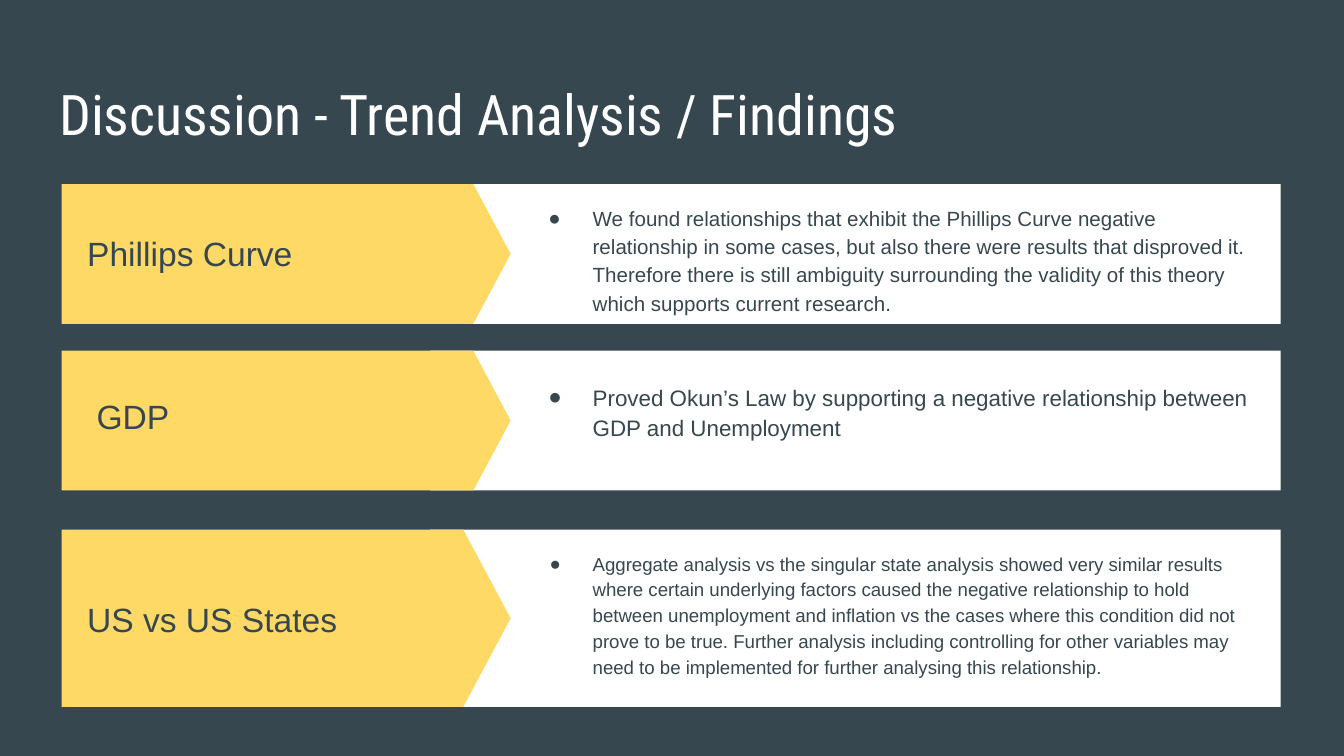
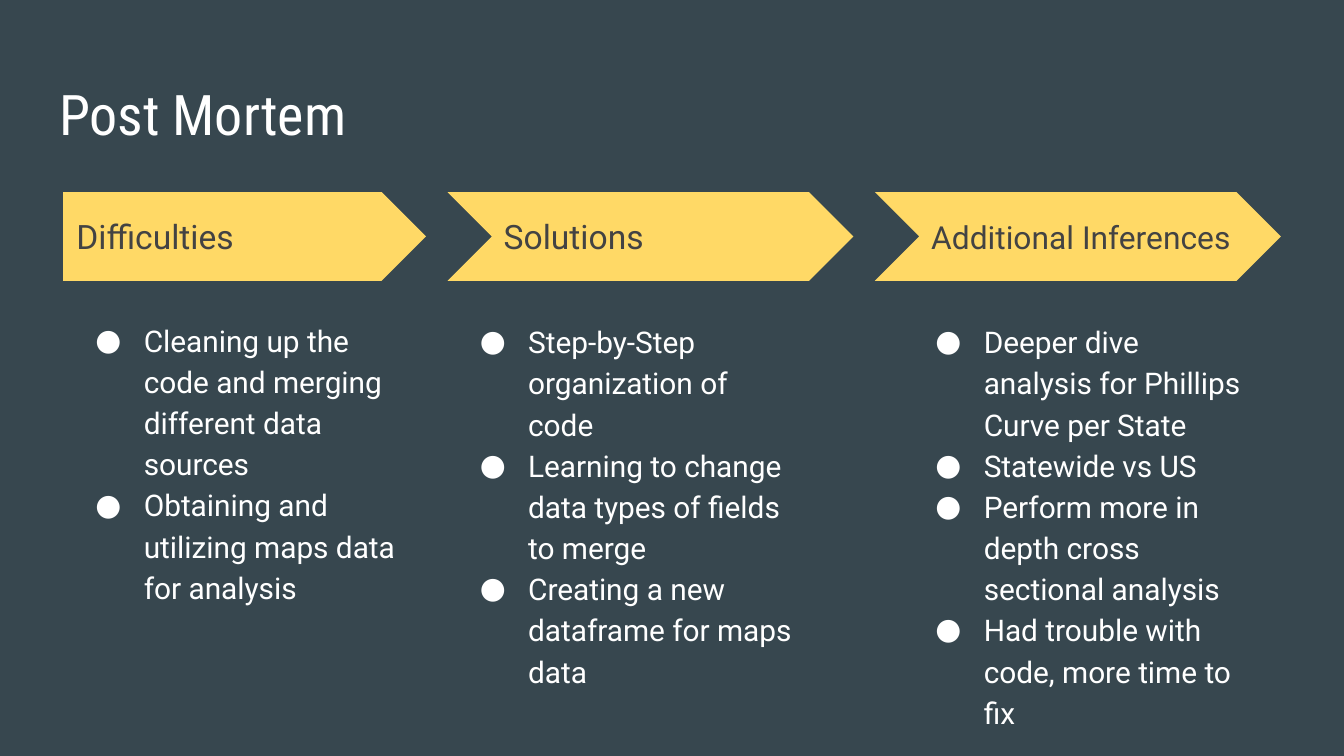
import pptx
import pptx.util
import pptx.dml.color
import pptx.enum.shapes
import pptx.enum.text
import pptx.oxml
import pptx.oxml.ns
from pptx.util import Inches

RGBColor = pptx.dml.color.RGBColor
SHAPE = pptx.enum.shapes.MSO_SHAPE
ANCHOR = pptx.enum.text.MSO_ANCHOR

SLATE = RGBColor(0x37, 0x47, 0x4F)
YELLOW = RGBColor(0xFF, 0xD9, 0x66)
WHITE = RGBColor(0xFF, 0xFF, 0xFF)
CHARCOAL = RGBColor(0x43, 0x43, 0x43)
TITLE_FONT = "Roboto Condensed"
COMPARISON_LAYOUT = 4


class Deck:
    def __init__(self):
        self.prs = pptx.Presentation()
        self.prs.slide_width, self.prs.slide_height = Inches(10), Inches(5.625)
        background = self.prs.slide_master.background.fill
        background.solid()
        background.fore_color.rgb = SLATE

    def new_slide(self, heading):
        layout = self.prs.slide_layouts[COMPARISON_LAYOUT]
        self.slide = self.prs.slides.add_slide(layout)
        title, *self.free_bodies = self.slide.placeholders
        self.place(title, (0.34, 0.49, 9.32, 0.63), ANCHOR.TOP)
        self.add_text(title.text_frame.paragraphs[0], heading, TITLE_FONT, 30, WHITE)

    def place(self, box, at, anchor):
        box.left, box.top, box.width, box.height = map(Inches, at)
        frame = box.text_frame
        frame.word_wrap = True
        frame.auto_size = pptx.enum.text.MSO_AUTO_SIZE.NONE
        frame.vertical_anchor = anchor
        frame.margin_left = frame.margin_right = Inches(0.1)
        frame.margin_top = frame.margin_bottom = Inches(0.1)

    def add_text(self, paragraph, text, font, size, color):
        paragraph.alignment = pptx.enum.text.PP_ALIGN.LEFT
        paragraph.space_before = pptx.util.Pt(0)
        run = paragraph.add_run()
        run.text = text
        run.font.name, run.font.size = font, pptx.util.Pt(size)
        run.font.bold = False
        run.font.color.rgb = color

    def block(self, kind, at, color, point=None, group=None):
        shapes = (group or self.slide).shapes
        shape = shapes.add_shape(kind, *map(Inches, at))
        shape.shadow.inherit = False
        shape.fill.solid()
        shape.fill.fore_color.rgb = color
        shape.line.fill.background()
        if point is not None:
            shape.adjustments[0] = point

    def label(self, text, at, font, size, color):
        box = self.slide.shapes.add_textbox(*map(Inches, at))
        self.place(box, at, ANCHOR.MIDDLE)
        self.add_text(box.text_frame.paragraphs[0], text, font, size, color)

    def bullets(self, items, at, font, size, color, hang, anchor=ANCHOR.TOP):
        body = self.free_bodies.pop(0)
        body.element.getparent().append(body.element)  # bring to front
        self.place(body, at, anchor)
        frame = body.text_frame
        for i, item in enumerate(items):
            paragraph = frame.add_paragraph() if i else frame.paragraphs[0]
            paragraph.line_spacing = 1.15
            self.add_text(paragraph, item, font, size, color)
            self.add_bullet(paragraph, font, color, hang)

    def add_bullet(self, paragraph, font, color, hang):
        props = paragraph._p.get_or_add_pPr()
        props.set("marL", str(Inches(0.5)))
        props.set("indent", str(-Inches(hang)))
        ns = pptx.oxml.ns.nsdecls("a")
        for xml in (f'<a:buClr {ns}><a:srgbClr val="{color}"/></a:buClr>',
                    f'<a:buFont {ns} typeface="{font}"/>',
                    f'<a:buChar {ns} char="●"/>'):
            props.append(pptx.oxml.parse_xml(xml))

    def finish_slide(self):
        for body in self.free_bodies:
            body.element.getparent().remove(body.element)


# topic, (label left, top), band (top, height), detail (top, height), size, hang, finding
FINDINGS = [
    ("Phillips Curve", (0.55, 1.45), (1.37, 1.04), (1.49, 0.87), 11, 0.33,
     "We found relationships that exhibit the Phillips Curve negative relationship "
     "in some cases, but also there were results that disproved it. Therefore there "
     "is still ambiguity surrounding the validity of this theory which supports "
     "current research."),
    ("GDP", (0.62, 2.66), (2.61, 1.04), (2.62, 0.87), 12, 0.33,
     "Proved Okun’s Law by supporting a negative relationship between GDP and "
     "Unemployment"),
    ("US vs US States", (0.55, 4.17), (3.94, 1.32), (4.03, 1.07), 10, 0.32,
     "Aggregate analysis vs the singular state analysis showed very similar results "
     "where certain underlying factors caused the negative relationship to hold "
     "between unemployment and inflation vs the cases where this condition did not "
     "prove to be true. Further analysis including controlling for other variables "
     "may need to be implemented for further analysing this relationship."),
]

# heading, size, list (left, top), points
LESSONS = [
    ("Difficulties", 18, (0.47, 2.26),
     ["Cleaning up the code and merging different data sources",
      "Obtaining and utilizing maps data for analysis"]),
    ("Solutions", 18, (3.33, 2.27),
     ["Step-by-Step organization of code",
      "Learning to change data types of fields to merge",
      "Creating a new dataframe for maps data"]),
    ("Additional Inferences", 17, (6.72, 2.27),
     ["Deeper dive analysis for Phillips Curve per State",
      "Statewide vs US",
      "Perform more in depth cross sectional analysis",
      "Had trouble with code, more time to fix"]),
]


def build_findings(deck):
    deck.new_slide("Discussion - Trend Analysis / Findings")
    for topic, corner, (top, height), (y, h), size, hang, finding in FINDINGS:
        band = deck.slide.shapes.add_group_shape()
        deck.block(SHAPE.RECTANGLE, (3.2, top, 6.33, height), WHITE, group=band)
        deck.block(SHAPE.PENTAGON, (0.46, top, 3.34, height), YELLOW, 0.267, band)
        deck.label(topic, (*corner, 2.65, 0.87), "Arial", 18, SLATE)
        deck.bullets([finding], (3.81, y, 5.59, h), "Arial", size, SLATE, hang,
                     ANCHOR.MIDDLE)
    deck.finish_slide()


def build_post_mortem(deck):
    deck.new_slide("Post Mortem")
    left, pitch, top, height, notch = 0.47, 3.18, 1.43, 0.66, 0.32
    for i, (heading, size, corner, points) in enumerate(LESSONS):
        x = left + i * pitch
        # Later arrows start a notch further left than their heading
        if i == 0:
            deck.block(SHAPE.PENTAGON, (x, top, 2.7, height), YELLOW, 0.5)
        else:
            deck.block(SHAPE.CHEVRON, (x - notch, top, 2.7 + notch, height), YELLOW, 0.5)
        deck.label(heading, (x, 1.59, 2.47, 0.34), "Roboto", size, CHARCOAL)
        deck.bullets(points, (*corner, 2.7, 2.9), "Roboto", 16, WHITE, 0.36)
    deck.finish_slide()


def main():
    deck = Deck()
    build_findings(deck)
    build_post_mortem(deck)
    deck.prs.save("out.pptx")


if __name__ == "__main__":
    main()
